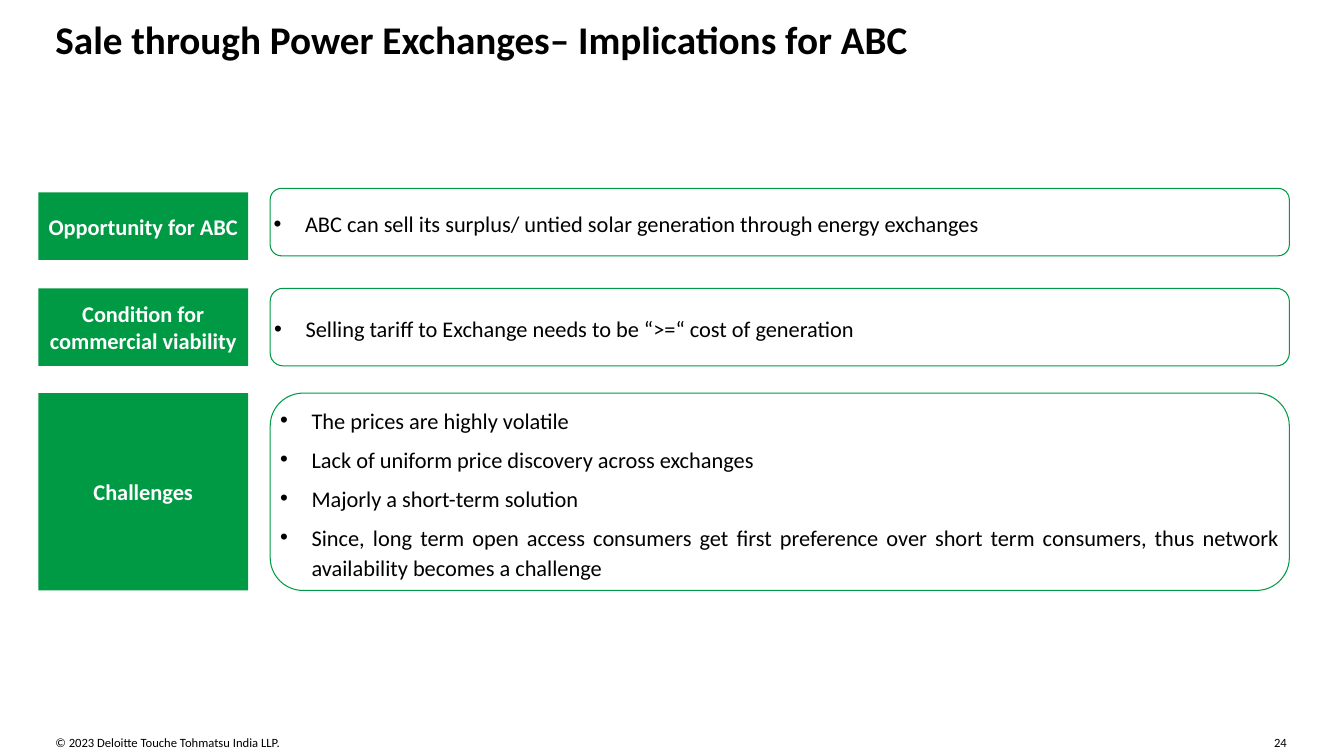
import dataclasses
import pptx
import pptx.util
import pptx.dml.color
import pptx.enum.shapes
import pptx.enum.text
import pptx.oxml

Pt = pptx.util.Pt
Color = pptx.dml.color.RGBColor.from_string
Kind = pptx.enum.shapes.MSO_SHAPE
Anchor = pptx.enum.text.MSO_ANCHOR
Align = pptx.enum.text.PP_ALIGN
Fit = pptx.enum.text.MSO_AUTO_SIZE


@dataclasses.dataclass(frozen=True)
class Theme:
    font: str = "Calibri"
    green: str = "009A44"
    black: str = "000000"
    white: str = "FFFFFF"
    title: int = 28
    body: int = 16
    small: int = 9


THEME = Theme()
BULLET = (
    '<a:buFont xmlns:a="http://schemas.openxmlformats.org/drawingml/2006/main" typeface="Arial"/>',
    '<a:buChar xmlns:a="http://schemas.openxmlformats.org/drawingml/2006/main" char="•"/>',
)
ROWS = [
    (137.5, 134.6, 48.2, "Opportunity for ABC",
     ["ABC can sell its surplus/ untied solar generation through energy exchanges"]),
    (206, 206, 55.4, "Condition for commercial viability",
     ["Selling tariff to Exchange needs to be “>=“ cost of generation"]),
    (280.8, 280.8, 141, "Challenges",
     ["The prices are highly volatile",
      "Lack of uniform price discovery across exchanges",
      "Majorly a short-term solution",
      "Since, long term open access consumers get first preference over short term "
      "consumers, thus network availability becomes a challenge"]),
]


def place(shape, box):
    shape.left, shape.top, shape.width, shape.height = map(Pt, box)


def write(shape, lines, size, color, bold=False, align=Align.LEFT, anchor=Anchor.TOP, wrap=True):
    frame = shape.text_frame
    frame.text = "\n".join(lines)
    frame.word_wrap = wrap
    frame.auto_size = Fit.NONE
    frame.vertical_anchor = anchor
    frame.margin_left = frame.margin_right = frame.margin_top = frame.margin_bottom = 0
    for para in frame.paragraphs:
        para.alignment = align
        para.space_before = Pt(0)
        for run in para.runs:
            run.font.name = THEME.font
            run.font.size = Pt(size)
            run.font.bold = bold
            run.font.color.rgb = Color(color)


def head(slide, box):
    place(slide.shapes.title, box)
    write(slide.shapes.title, ["Sale through Power Exchanges– Implications for ABC"],
          THEME.title, THEME.black, bold=True)


def label(slide, box, text):
    tile = slide.shapes.add_shape(Kind.RECTANGLE, *map(Pt, box))
    tile.shadow.inherit = False
    tile.fill.solid()
    tile.fill.fore_color.rgb = Color(THEME.green)
    tile.line.fill.background()
    write(tile, [text], THEME.body, THEME.white, True, Align.CENTER, Anchor.MIDDLE)


def points(slide, holder, box, lines):
    frame = slide.shapes.add_shape(Kind.ROUNDED_RECTANGLE, *map(Pt, box))
    frame.shadow.inherit = False
    frame.fill.background()
    frame.line.color.rgb = Color(THEME.green)
    frame.line.width = Pt(0.75)

    left, top, width, height = box
    pad = height * 0.05
    place(holder, (left + pad, top + pad, width - 2 * pad, height - 2 * pad))
    anchor = Anchor.MIDDLE if len(lines) == 1 else Anchor.TOP
    write(holder, lines, THEME.body, THEME.black, align=Align.JUSTIFY, anchor=anchor)
    for para in holder.text_frame.paragraphs:
        props = para._p.get_or_add_pPr()
        props.set("marL", str(Pt(22.5)))
        props.set("indent", str(-Pt(22.5)))
        for item in BULLET:
            props.append(pptx.oxml.parse_xml(item))
        para.line_spacing = 1.14
        para.space_after = Pt(6)


def foot(slide, box):
    left, top, width, height = box
    note = slide.shapes.add_textbox(Pt(left), Pt(top), Pt(422), Pt(height))
    write(note, ["© 2023 Deloitte Touche Tohmatsu India LLP."], THEME.small, THEME.black)
    page = slide.shapes.add_textbox(Pt(left + width - 10.8), Pt(top), Pt(10.8), Pt(height))
    write(page, ["24"], THEME.small, THEME.black, wrap=False)


def main():
    deck = pptx.Presentation()
    deck.slide_width, deck.slide_height = Pt(960), Pt(540)
    slide = deck.slides.add_slide(deck.slide_layouts.get_by_name("Comparison"))
    head(slide, (39.6, 10.8, 881.3, 26.6))
    holders = list(slide.placeholders)[1:]
    for holder, (top, edge, height, name, lines) in zip(holders, ROWS):
        label(slide, (27.4, top, 149.8, height), name)
        points(slide, holder, (193, edge, 728, height), lines)
    for spare in holders[len(ROWS):]:
        spare._element.getparent().remove(spare._element)
    foot(slide, (39.6, 524.9, 881.3, 10.8))
    deck.save("out.pptx")


if __name__ == "__main__":
    main()
